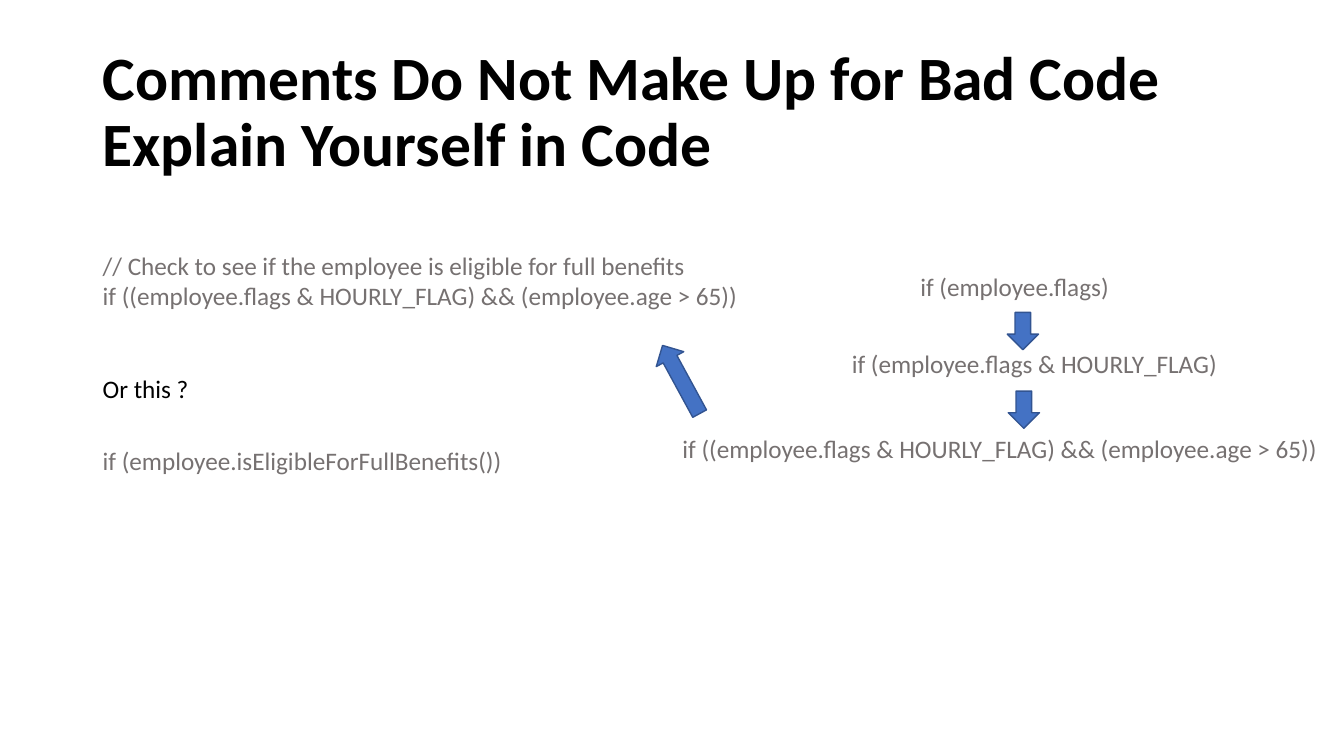
import dataclasses

import pptx
import pptx.dml.color
import pptx.enum.shapes
import pptx.enum.text
import pptx.util

PX = 9144
FONT = "Calibri"
BLACK = "000000"
GRAY = "767171"
BLUE = "4472C4"
NAVY = "325491"
MARGIN = 92
FULL_CHECK = "if ((employee.flags & HOURLY_FLAG) && (employee.age > 65))"


@dataclasses.dataclass
class Label:
    x: int
    y: int
    w: int
    h: int
    lines: list[str]
    color: str = GRAY


@dataclasses.dataclass
class Arrow:
    x: int
    y: int
    h: int = 37
    rotation: float = 0
    w: int = 31


TITLE = Label(
    MARGIN, 40, 1150, 145,
    ["Comments Do Not Make Up for Bad Code\vExplain Yourself in Code"], BLACK,
)

LABELS = [
    Label(MARGIN, 243, 663, 92,
          ["// Check to see if the employee is eligible for full benefits", FULL_CHECK]),
    Label(MARGIN, 365, 106, 37, ["Or this ?"], BLACK),
    Label(MARGIN, 437, 426, 64, ["if (employee.isEligibleForFullBenefits())"]),
    Label(903, 264, 217, 71, ["if (employee.flags)"]),
    Label(835, 341, 387, 40, ["if (employee.flags & HOURLY_FLAG)"]),
    Label(667, 425, 663, 40, [FULL_CHECK]),
]

ARROWS = [
    Arrow(999, 310),
    Arrow(1000, 388),
    Arrow(660, 338, 77, 151.5),
]


def px(n: int) -> pptx.util.Emu:
    return pptx.util.Emu(n * PX)


def rgb(color: str) -> pptx.dml.color.RGBColor:
    return pptx.dml.color.RGBColor.from_string(color)


def add_text(s, label: Label, size: int, bold: bool = False):
    box = s.shapes.add_textbox(px(label.x), px(label.y), px(label.w), px(label.h))
    tf = box.text_frame
    tf.text = "\n".join(label.lines)
    for p in tf.paragraphs:
        p.font.name = FONT
        p.font.size = pptx.util.Pt(size)
        p.font.bold = bold
        p.font.color.rgb = rgb(label.color)
    return tf


def add_title(s, label: Label) -> None:
    tf = add_text(s, label, 44, True)
    tf.word_wrap = True
    tf.vertical_anchor = pptx.enum.text.MSO_ANCHOR.MIDDLE
    tf.paragraphs[0].line_spacing = 0.9


def add_label(s, label: Label) -> None:
    tf = add_text(s, label, 18)
    tf.word_wrap = False
    tf.auto_size = pptx.enum.text.MSO_AUTO_SIZE.SHAPE_TO_FIT_TEXT


def add_arrow(s, arrow: Arrow) -> None:
    sp = s.shapes.add_shape(
        pptx.enum.shapes.MSO_SHAPE.DOWN_ARROW,
        px(arrow.x), px(arrow.y), px(arrow.w), px(arrow.h),
    )
    sp.rotation = arrow.rotation
    sp.shadow.inherit = False
    sp.fill.solid()
    sp.fill.fore_color.rgb = rgb(BLUE)
    sp.line.color.rgb = rgb(NAVY)
    sp.line.width = pptx.util.Pt(1)


def main() -> None:
    prs = pptx.Presentation()
    prs.slide_width = px(1333)
    prs.slide_height = px(750)
    s = prs.slides.add_slide(prs.slide_layouts[6])
    add_title(s, TITLE)
    for label in LABELS:
        add_label(s, label)
    for arrow in ARROWS:
        add_arrow(s, arrow)
    prs.save("out.pptx")


if __name__ == "__main__":
    main()
